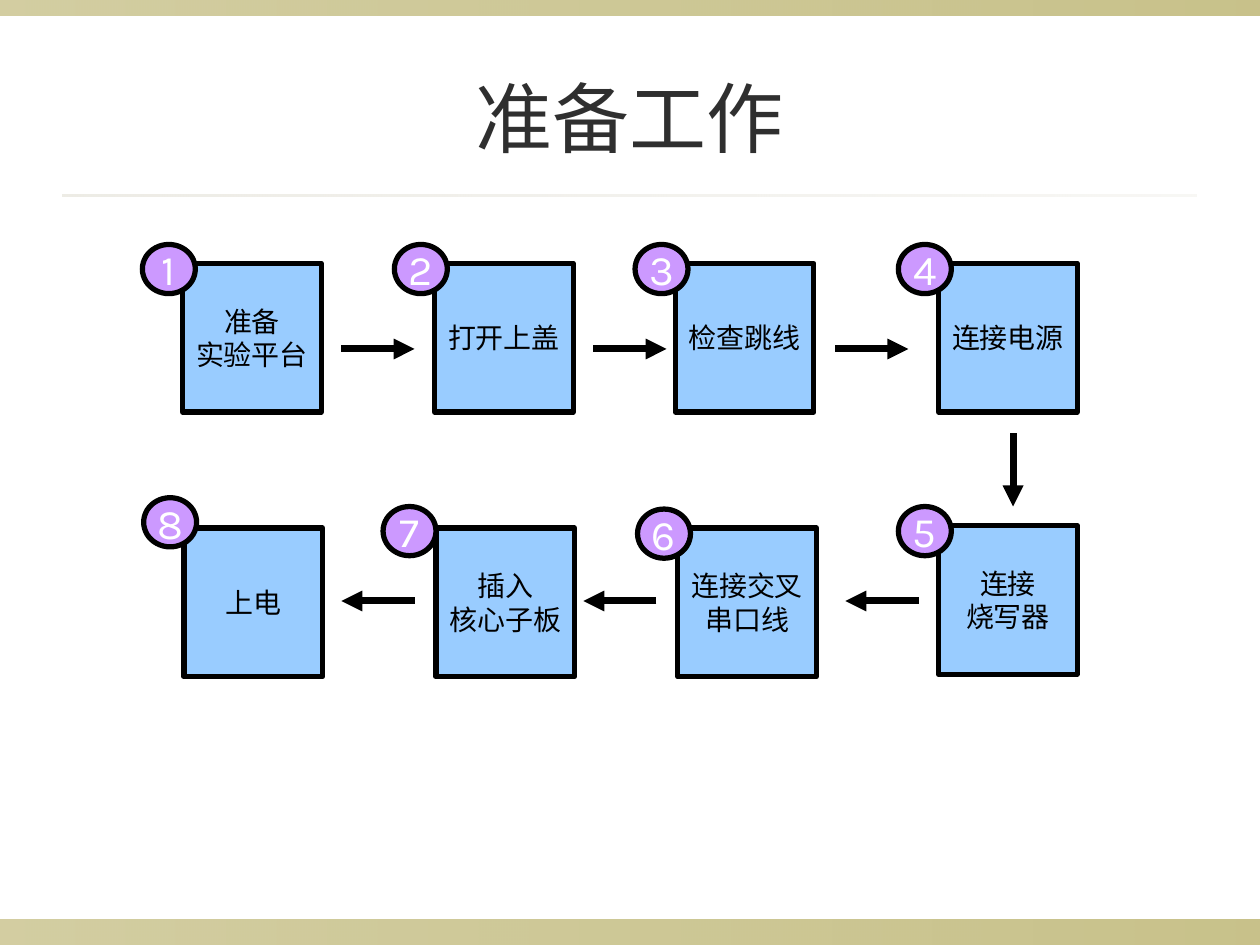
"""Build the slide of eight numbered preparation steps."""
from lxml.etree import SubElement
from pptx import Presentation
from pptx.dml.color import RGBColor
from pptx.enum.shapes import MSO_CONNECTOR as CONNECTOR, MSO_SHAPE as SHAPE
from pptx.enum.text import MSO_ANCHOR as ANCHOR, PP_ALIGN as ALIGN
from pptx.oxml.ns import qn
from pptx.util import Pt

FONT = "Karla"
BLACK = RGBColor(0x00, 0x00, 0x00)
WHITE = RGBColor(0xFF, 0xFF, 0xFF)
BLUE = RGBColor(0x99, 0xCC, 0xFF)
PURPLE = RGBColor(0xCC, 0x99, 0xFF)
OLIVE = RGBColor(0x91, 0x84, 0x15)
SAND = RGBColor(0xDC, 0xD9, 0xCC)
CHARCOAL = RGBColor(0x2F, 0x2F, 0x2F)

BOX_WIDTH, BOX_HEIGHT = 79.2, 85
BADGE_WIDTH, BADGE_HEIGHT = 30.24, 28.08
ARROW_LENGTH = 41.76


def write_lines(shape, lines, size, color, wrap=False):
    frame = shape.text_frame
    frame.word_wrap = wrap
    frame.vertical_anchor = ANCHOR.MIDDLE
    for index, line in enumerate(lines):
        paragraph = frame.add_paragraph() if index else frame.paragraphs[0]
        paragraph.alignment = ALIGN.CENTER
        run = paragraph.add_run()
        run.text = line
        run.font.name = FONT
        run.font.size = Pt(size)
        run.font.color.rgb = color


def add_outlined(kind, left, top, width, height, color):
    shape = slide.shapes.add_shape(kind, Pt(left), Pt(top), Pt(width), Pt(height))
    shape.shadow.inherit = False
    shape.fill.solid()
    shape.fill.fore_color.rgb = color
    shape.line.color.rgb = BLACK
    shape.line.width = Pt(3)
    return shape


deck = Presentation()
deck.slide_width, deck.slide_height = Pt(720), Pt(540)
slide = deck.slides.add_slide(deck.slide_layouts[6])

bands = [
    (0, 525.6, 720, 14.4, OLIVE, (40, 50)),
    (0, 0, 720, 8.64, OLIVE, (40, 50)),
    (36, 110.88, 648, 1.44, SAND, (50, 20)),
]
for left, top, width, height, color, opacities in bands:
    band = slide.shapes.add_shape(SHAPE.RECTANGLE, Pt(left), Pt(top), Pt(width), Pt(height))
    band.shadow.inherit = False
    band.line.fill.background()
    band.fill.gradient()
    band.fill.gradient_angle = 0
    for stop in band.fill.gradient_stops:
        stop.color.rgb = color
    for color_element, opacity in zip(band._element.spPr.iter(qn("a:srgbClr")), opacities):
        SubElement(color_element, qn("a:alpha"), val=str(opacity * 1000))

title = slide.shapes.add_textbox(Pt(36), Pt(21.6), Pt(648), Pt(90))
write_lines(title, ["准备工作"], 44, CHARCOAL, wrap=True)

steps = [
    (["准备", "实验平台"], 104.4, 150.5, 81.36, 139.68),
    (["打开上盖"], 248.4, 150.5, 225.36, 139.68),
    (["检查跳线"], 385.92, 150.5, 362.88, 139.68),
    (["连接电源"], 536.4, 150.5, 513.36, 139.68),
    (["连接", "烧写器"], 536.4, 300.24, 513.36, 289.44),
    (["连接交叉", "串口线"], 387.36, 301.68, 364.32, 290.88),
    (["插入", "核心子板"], 249.12, 301.68, 218.88, 289.44),
    (["上电"], 105.12, 301.68, 82.08, 284.4),
]
for number, (lines, left, top, badge_left, badge_top) in enumerate(steps, 1):
    box = add_outlined(SHAPE.RECTANGLE, left, top, BOX_WIDTH, BOX_HEIGHT, BLUE)
    write_lines(box, lines, 16, BLACK)
    badge = add_outlined(SHAPE.OVAL, badge_left, badge_top, BADGE_WIDTH, BADGE_HEIGHT, PURPLE)
    write_lines(badge, [str(number)], 24, WHITE)

arrows = [
    (195.12, 199.44, 1, 0),
    (339.12, 199.44, 1, 0),
    (477.36, 199.44, 1, 0),
    (578.88, 247.68, 0, 1),
    (524.88, 343.44, -1, 0),
    (375.12, 343.44, -1, 0),
    (236.88, 343.44, -1, 0),
]
for x, y, across, down in arrows:
    arrow = slide.shapes.add_connector(
        CONNECTOR.STRAIGHT, Pt(x), Pt(y),
        Pt(x + across * ARROW_LENGTH), Pt(y + down * ARROW_LENGTH))
    arrow.line.color.rgb = BLACK
    arrow.line.width = Pt(4)
    SubElement(arrow.line._get_or_add_ln(), qn("a:tailEnd"), type="triangle")
    SubElement(arrow._element.spPr, qn("a:effectLst"))

deck.save("out.pptx")
